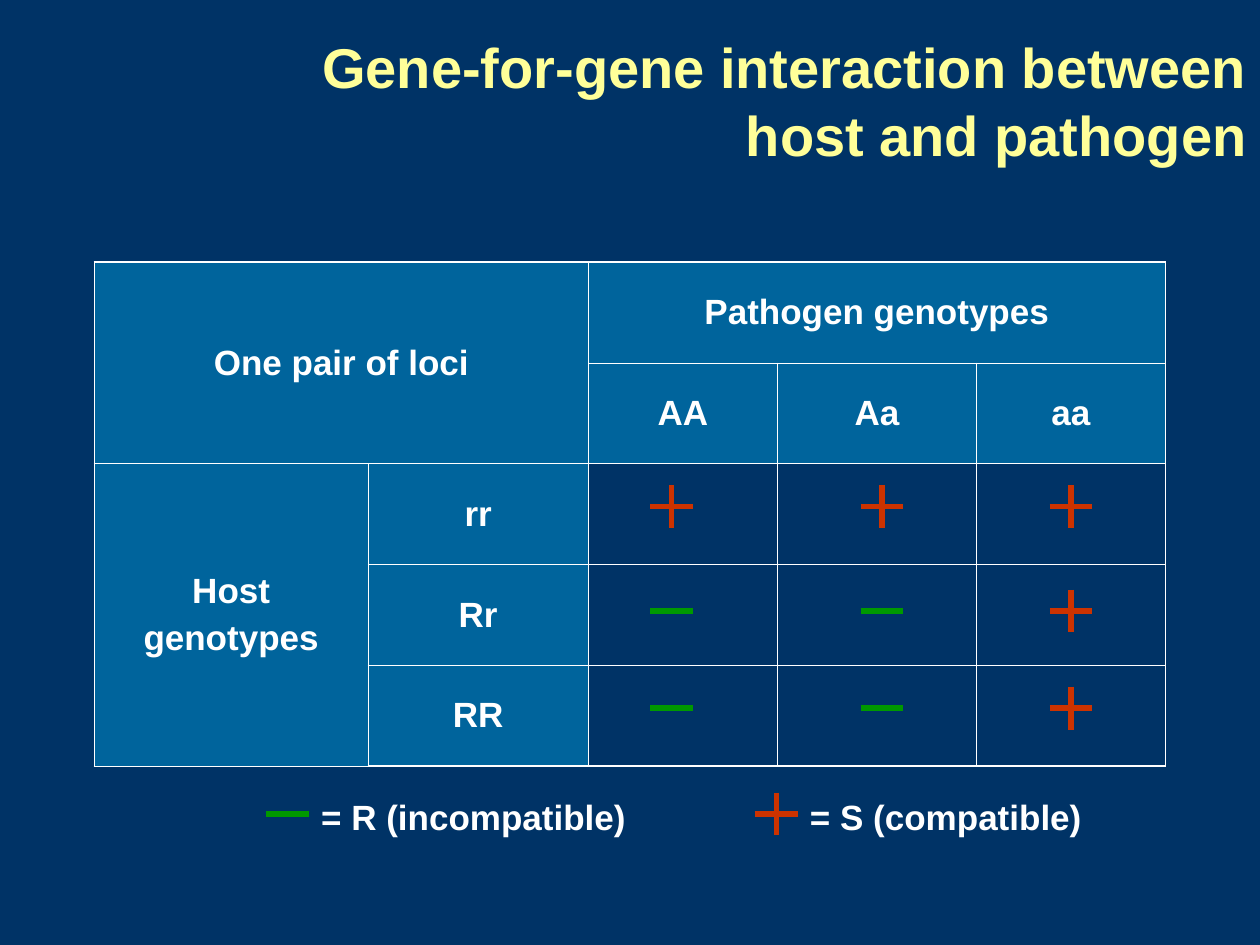
"""Build a slide showing the gene-for-gene interaction of one pair of loci."""
from lxml import etree
from pptx import Presentation
from pptx import util as u
from pptx.dml.color import RGBColor
from pptx.enum import shapes, text
from pptx.oxml.ns import qn

COLORS = {"back": "003366", "title": "FFFF99", "text": "FFFFFF",
          "header": "00649C", "+": "CC3300", "-": "009900"}
TITLE = "Gene-for-gene interaction between host and pathogen"
HEADERS = [
    (0, 0, 1, 1, ["One pair of loci"]),
    (0, 2, 0, 4, ["Pathogen genotypes"]),
    (1, 2, 1, 2, ["AA"]),
    (1, 3, 1, 3, ["Aa"]),
    (1, 4, 1, 4, ["aa"]),
    (2, 0, 4, 0, ["Host", "genotypes"]),
    (2, 1, 2, 1, ["rr"]),
    (3, 1, 3, 1, ["Rr"]),
    (4, 1, 4, 1, ["RR"]),
]
REACTIONS = ["+++", "--+", "--+"]
LEGEND = [("-", 2.28, "= R (incompatible)", 2.62), ("+", 6.16, "= S (compatible)", 2.36)]

COLUMNS = [2.17, 1.75, 1.5, 1.58, 1.5]
ROWS = [0.8] * 5
TABLE_LEFT, TABLE_TOP = 0.75, 2.08
MARK_X = [5.33, 7, 8.5]
MARK_Y = [4.02, 4.85, 5.62]
LEGEND_Y = 6.46
ARM = 0.17


def rgb(key):
    return RGBColor.from_string(COLORS[key])


def write(frame, lines, size, color, align):
    frame.vertical_anchor = text.MSO_ANCHOR.MIDDLE
    for index, line in enumerate(lines):
        paragraph = frame.add_paragraph() if index else frame.paragraphs[0]
        paragraph.text = line
        paragraph.alignment = align
        paragraph.space_before = u.Pt(5 if index else 0)
        style = {"name": "Arial", "size": u.Pt(size), "bold": True}
        for name, value in style.items():
            setattr(paragraph.runs[0].font, name, value)
        paragraph.runs[0].font.color.rgb = rgb(color)


def add_borders(cell, row, column):
    outer = {"L": column == 0, "R": column == len(COLUMNS) - 1,
             "T": row == 0, "B": row == len(ROWS) - 1}
    properties = cell._tc.get_or_add_tcPr()
    for side, is_outer in outer.items():
        border = etree.SubElement(properties, qn(f"a:ln{side}"),
                                  w=str(u.Pt(1.08 if is_outer else 0.45)))
        fill = etree.SubElement(border, qn("a:solidFill"))
        etree.SubElement(fill, qn("a:srgbClr"), val=COLORS["text"])


def add_mark(slide, sign, x, y):
    parent = slide.shapes.add_group_shape().shapes if sign == "+" else slide.shapes
    arms = [(0, ARM), (ARM, 0)] if sign == "+" else [(ARM, 0)]
    for dx, dy in arms:
        ends = [u.Inches(v) for v in (x - dx, y - dy, x + dx, y + dy)]
        arm = parent.add_connector(shapes.MSO_CONNECTOR.STRAIGHT, *ends)
        arm.line.color.rgb = rgb(sign)
        arm.line.width = u.Pt(3)
        etree.SubElement(arm._element.spPr, qn("a:effectLst"))


def add_title(slide):
    title = slide.shapes.title
    place = {"left": 1.5, "top": 0.17, "width": 8.5, "height": 1.25}
    for name, value in place.items():
        setattr(title, name, u.Inches(value))
    title.text_frame.auto_size = text.MSO_AUTO_SIZE.NONE
    write(title.text_frame, [TITLE], 32, "title", text.PP_ALIGN.RIGHT)


def add_genotypes(slide):
    box = [u.Inches(v) for v in (TABLE_LEFT, TABLE_TOP, sum(COLUMNS), sum(ROWS))]
    genotypes = slide.shapes.add_table(len(ROWS), len(COLUMNS), *box).table
    genotypes.first_row = genotypes.horz_banding = False
    for column, width in zip(genotypes.columns, COLUMNS):
        column.width = u.Inches(width)
    for row, height in zip(genotypes.rows, ROWS):
        row.height = u.Inches(height)
    for row in range(len(ROWS)):
        for column in range(len(COLUMNS)):
            cell = genotypes.cell(row, column)
            add_borders(cell, row, column)
            if row < 2 or column < 2:
                cell.fill.solid()
                cell.fill.fore_color.rgb = rgb("header")
            else:
                cell.fill.background()
    for top, left, bottom, right, lines in HEADERS:
        cell = genotypes.cell(top, left)
        if (top, left) != (bottom, right):
            cell.merge(genotypes.cell(bottom, right))
        cell.vertical_anchor = text.MSO_ANCHOR.MIDDLE
        write(cell.text_frame, lines, 20, "text", text.PP_ALIGN.CENTER)


def add_legend(slide):
    for sign, x, meaning, width in LEGEND:
        place = (x + ARM, LEGEND_Y - 0.2, width, 0.44)
        label = slide.shapes.add_textbox(*[u.Inches(v) for v in place])
        label.text_frame.word_wrap = False
        write(label.text_frame, [meaning], 20, "text", text.PP_ALIGN.LEFT)
        add_mark(slide, sign, x, LEGEND_Y)


def main():
    deck = Presentation()
    deck.slide_width, deck.slide_height = u.Inches(10), u.Inches(7.5)
    slide = deck.slides.add_slide(deck.slide_layouts[5])
    slide.background.fill.solid()
    slide.background.fill.fore_color.rgb = rgb("back")
    add_title(slide)
    add_genotypes(slide)
    for y, signs in zip(MARK_Y, REACTIONS):
        for x, sign in zip(MARK_X, signs):
            add_mark(slide, sign, x, y)
    add_legend(slide)
    deck.save("out.pptx")


if __name__ == "__main__":
    main()
